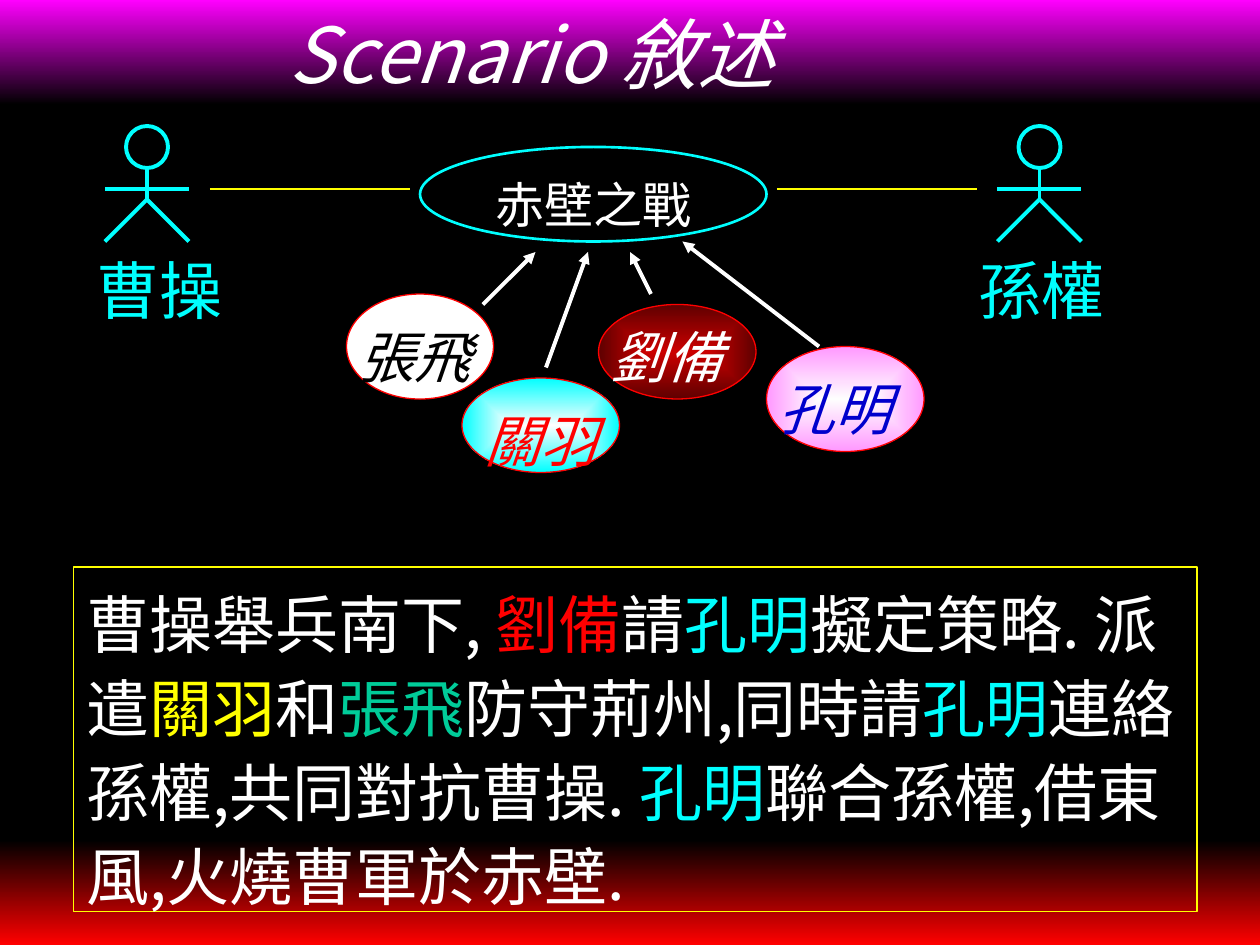
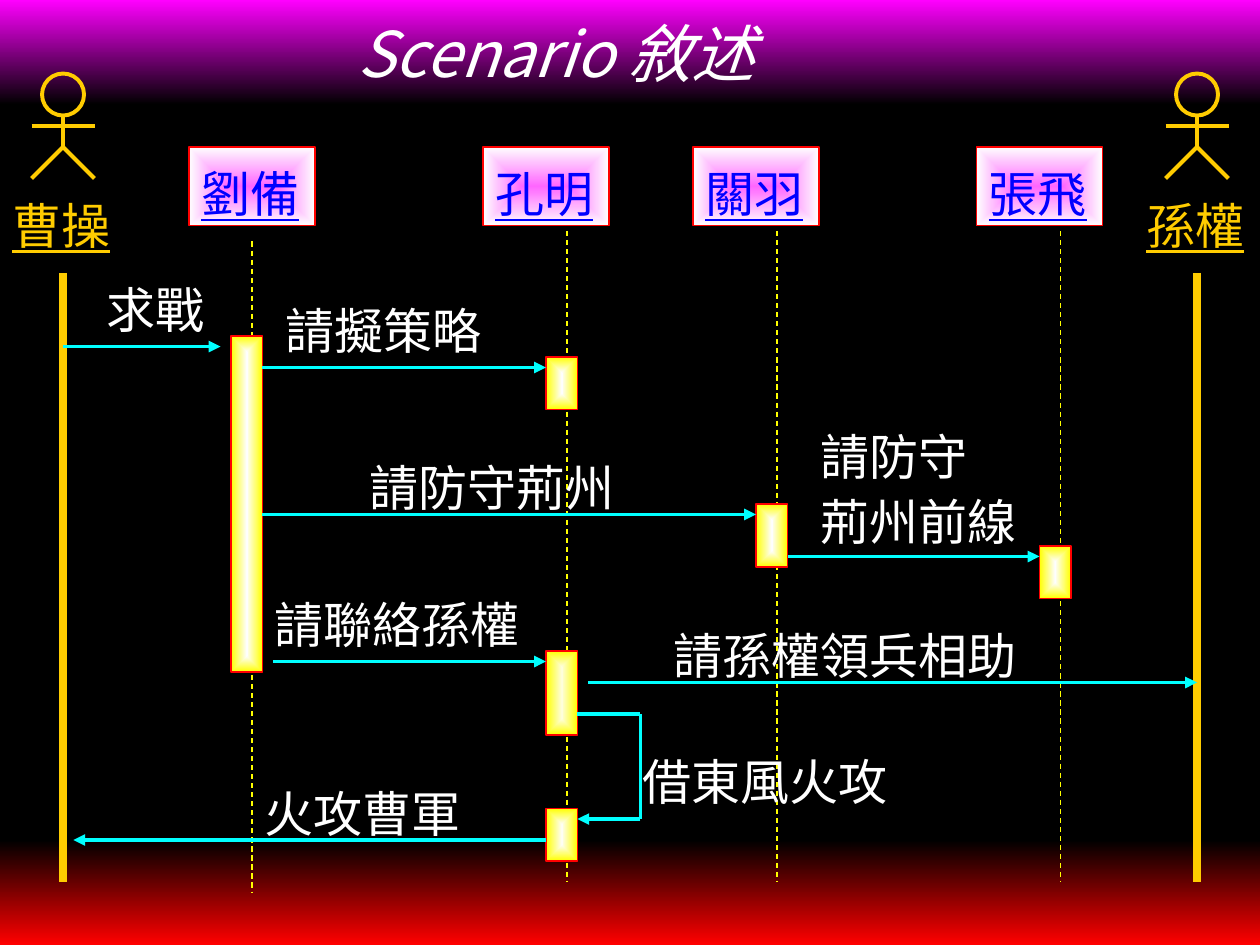
from dataclasses import dataclass
from typing import Any, NamedTuple, Optional

import lxml.etree
import pptx
import pptx.dml.color
import pptx.enum.dml
import pptx.enum.shapes
import pptx.enum.text
import pptx.oxml.ns
import pptx.slide
import pptx.util

Pt = pptx.util.Pt
qn = pptx.oxml.ns.qn
SHAPE = pptx.enum.shapes.MSO_SHAPE


@dataclass(frozen=True)
class Theme:
    black: str = "000000"
    white: str = "FFFFFF"
    glow: str = "FEFEFE"
    magenta: str = "FF00FF"
    red: str = "FF0000"
    cyan: str = "00FFFF"
    yellow: str = "FFFF00"
    gold: str = "FFCC00"
    green: str = "00CC99"
    blue: str = "0000FF"
    navy: str = "0000CC"
    crimson: str = "CC0000"
    maroon: str = "5E0000"
    pink: str = "FF66FF"
    pale_pink: str = "FF99FF"
    sans: str = "Noto Sans CJK SC"
    serif: str = "Times New Roman"
    story_size: int = 36
    hero_size: int = 32
    label_size: int = 28
    line_ratio: float = 1.33
    thin: float = 0.75
    medium: float = 1.5
    thick: float = 2.25
    heavy: float = 4.5


THEME = Theme()
WIDTH, HEIGHT, BAND = 720, 540, 60
INSETS = {"margin_left": Pt(7.2), "margin_right": Pt(7.2),
          "margin_top": Pt(6), "margin_bottom": Pt(0)}


class Box(NamedTuple):
    left: float
    top: float
    width: float
    height: float


class Span(NamedTuple):
    text: str
    color: str = THEME.white


@dataclass(frozen=True)
class TextStyle:
    color: str = THEME.white
    size: float = THEME.label_size
    font: str = THEME.serif
    italic: bool = False
    underline: bool = False
    line_height: Optional[float] = None


class Stroke(NamedTuple):
    color: str
    width: float
    dashed: bool = False
    arrow: bool = False


class Link(NamedTuple):
    x1: float
    y1: float
    x2: float
    y2: float


class Actor(NamedTuple):
    center: float
    top: float
    reach: float
    color: str


class Hero(NamedTuple):
    name: str
    oval: Box
    label_at: tuple[float, float]
    color: str
    inner: str
    outer: str
    arrow: Link


class Participant(NamedTuple):
    name: str
    left: float
    lifeline: Link


class Activation(NamedTuple):
    box: Box
    inner: str = THEME.glow


class Caption(NamedTuple):
    lines: tuple[str, ...]
    box: Box


def rgb(value: str) -> pptx.dml.color.RGBColor:
    return pptx.dml.color.RGBColor.from_string(value)


def apply(target: Any, values: dict[str, Any]) -> None:
    for key, value in values.items():
        setattr(target, key, value)


def fill_gradient(shape: Any, start: str, end: str, radial: bool = False) -> None:
    shape.fill.gradient()
    for stop, color in zip(shape.fill.gradient_stops, (start, end)):
        stop.color.rgb = rgb(color)
    if not radial:
        shape.fill.gradient_angle = 270
        return
    gradient = shape._element.spPr.find(qn("a:gradFill"))
    gradient.remove(gradient.find(qn("a:lin")))
    center = lxml.etree.SubElement(gradient, qn("a:path"), {"path": "rect"})
    lxml.etree.SubElement(center, qn("a:fillToRect"), dict.fromkeys("ltrb", "50000"))


def write(frame: Any, lines: list[list[Span]], style: TextStyle) -> None:
    apply(frame, {"word_wrap": True, "auto_size": pptx.enum.text.MSO_AUTO_SIZE.NONE,
                  "vertical_anchor": pptx.enum.text.MSO_ANCHOR.TOP, **INSETS})
    for number, spans in enumerate(lines):
        paragraph = frame.add_paragraph() if number else frame.paragraphs[0]
        apply(paragraph, {"alignment": pptx.enum.text.PP_ALIGN.LEFT, "space_before": Pt(0),
                          "line_spacing": Pt(style.line_height or style.size * THEME.line_ratio)})
        for span in spans:
            run = paragraph.add_run()
            run.text = span.text
            apply(run.font, {"size": Pt(style.size), "name": style.font,
                             "italic": style.italic, "underline": style.underline})
            run.font.color.rgb = rgb(span.color)
            lxml.etree.SubElement(run._r.rPr, qn("a:ea"), {"typeface": THEME.sans})


def add_label(slide: pptx.slide.Slide, lines: tuple[str, ...], box: Box, style: TextStyle) -> None:
    frame = slide.shapes.add_textbox(*map(Pt, box)).text_frame
    write(frame, [[Span(line, style.color)] for line in lines], style)


def add_outline(slide: pptx.slide.Slide, kind: Any, box: Box, stroke: Stroke) -> Any:
    shape = slide.shapes.add_shape(kind, *map(Pt, box))
    shape.shadow.inherit = False
    shape.fill.background()
    shape.line.color.rgb = rgb(stroke.color)
    shape.line.width = Pt(stroke.width)
    return shape


def add_link(slide: pptx.slide.Slide, link: Link, stroke: Stroke) -> None:
    connector = slide.shapes.add_connector(
        pptx.enum.shapes.MSO_CONNECTOR.STRAIGHT, *map(Pt, link))
    connector.line.color.rgb = rgb(stroke.color)
    connector.line.width = Pt(stroke.width)
    if stroke.dashed:
        connector.line.dash_style = pptx.enum.dml.MSO_LINE.DASH
    if stroke.arrow:
        lxml.etree.SubElement(connector.line._get_or_add_ln(), qn("a:tailEnd"), {"type": "triangle"})
    lxml.etree.SubElement(connector._element.spPr, qn("a:effectLst"))


def add_actor(slide: pptx.slide.Slide, actor: Actor) -> None:
    x, top, reach, color = actor
    stroke = Stroke(color, THEME.thick)
    add_outline(slide, SHAPE.OVAL, Box(x - 12, top, 24, 24), stroke)
    arms, hip = top + reach + 12, top + 42
    for limb in (Link(x - reach, arms, x + reach, arms), Link(x, top + 24, x, hip),
                 Link(x, hip, x - reach, hip + reach), Link(x, hip, x + reach, hip + reach)):
        add_link(slide, limb, stroke)


def add_scene(deck: Any, layout: int, title_size: float, title_left: float) -> pptx.slide.Slide:
    slide = deck.slides.add_slide(deck.slide_layouts[layout])
    title = slide.shapes.title
    apply(title, dict(zip(("left", "top", "width", "height"), map(Pt, (0, 0, WIDTH, BAND)))))
    fill_gradient(title, THEME.magenta, THEME.black)
    write(title.text_frame, [[Span("Scenario 敘述")]],
          TextStyle(size=title_size, font=THEME.sans, italic=True))
    title.text_frame.paragraphs[0].line_spacing = 1.0
    apply(title.text_frame, {"margin_left": Pt(title_left), "margin_top": Pt(0),
                             "vertical_anchor": pptx.enum.text.MSO_ANCHOR.MIDDLE})
    ground = slide.shapes.add_shape(SHAPE.RECTANGLE, *map(Pt, (0, HEIGHT - BAND, WIDTH, BAND)))
    ground.shadow.inherit = False
    ground.line.fill.background()
    fill_gradient(ground, THEME.black, THEME.red)
    slide.shapes._spTree.insert(2, ground._element)
    return slide


HEROES = [
    Hero("劉備", Box(342, 174, 90, 54), (342, 174), THEME.white, THEME.crimson, THEME.maroon,
         Link(372, 168, 360, 144)),
    Hero("關羽", Box(264, 216, 90, 54), (270, 222), THEME.red, THEME.glow, THEME.cyan,
         Link(312, 210, 336, 144)),
    Hero("孔明", Box(438, 198, 90, 60), (438, 204), THEME.navy, THEME.glow, THEME.pale_pink,
         Link(468, 198, 390, 138)),
    Hero("張飛", Box(198, 168, 84, 60), (198, 174), THEME.black, THEME.white, THEME.white,
         Link(276, 174, 306, 144)),
]
STORY = [
    Span("曹操舉兵南下, "), Span("劉備", THEME.red), Span("請"), Span("孔明", THEME.cyan),
    Span("擬定策略. 派遣"), Span("關羽", THEME.yellow), Span("和"), Span("張飛", THEME.green),
    Span("防守荊州,同時請"), Span("孔明", THEME.cyan), Span("連絡孫權,共同對抗曹操. "),
    Span("孔明", THEME.cyan), Span("聯合孫權,借東風,火燒曹軍於赤壁."),
]
PARTICIPANTS = [
    Participant("劉備", 108, Link(144, 138, 144, 510)),
    Participant("孔明", 276, Link(324, 132, 324, 504)),
    Participant("關羽", 396, Link(444, 132, 444, 504)),
    Participant("張飛", 558, Link(606, 132, 606, 504)),
]
ACTIVATIONS = [
    Activation(Box(132, 192, 18, 192)),
    Activation(Box(312, 204, 18, 30)),
    Activation(Box(432, 288, 18, 36)),
    Activation(Box(594, 312, 18, 30)),
    Activation(Box(312, 372, 18, 48), "FEFEDB"),
    Activation(Box(312, 462, 18, 30), "FEFEF4"),
]
MESSAGES = [
    Link(36, 198, 126, 198), Link(150, 210, 312, 210), Link(150, 294, 432, 294),
    Link(450, 318, 594, 318), Link(156, 378, 312, 378), Link(336, 390, 684, 390),
    Link(366, 468, 330, 468), Link(312, 480, 42, 480),
]
SELF_CALL = [Link(330, 408, 366, 408), Link(366, 408, 366, 468)]
CAPTIONS = [
    Caption(("求戰",), Box(54, 150, 72, 45)),
    Caption(("請擬策略",), Box(156, 162, 132, 45)),
    Caption(("請防守荊州",), Box(204, 252, 168, 45)),
    Caption(("請防守", "荊州前線"), Box(462, 234, 138, 81)),
    Caption(("請聯絡孫權",), Box(150, 330, 168, 45)),
    Caption(("請孫權領兵相助",), Box(378, 348, 228, 45)),
    Caption(("借東風火攻",), Box(360, 420, 168, 45)),
    Caption(("火攻曹軍",), Box(144, 438, 144, 45)),
]


def build_use_case(deck: Any) -> None:
    slide = add_scene(deck, 1, 44, 165)
    name_style = TextStyle(THEME.cyan, THEME.story_size, line_height=37)
    for name, center, left in (("曹操", 84, 48), ("孫權", 594, 552)):
        add_actor(slide, Actor(center, 72, 24, THEME.cyan))
        add_label(slide, (name,), Box(left, 144, 96, 44), name_style)
    add_label(slide, ("赤壁之戰",), Box(276, 90, 156, 45), TextStyle())
    add_outline(slide, SHAPE.OVAL, Box(240, 84, 198, 54), Stroke(THEME.cyan, THEME.medium))
    for left in (120, 444):
        add_link(slide, Link(left, 108, left + 114, 108), Stroke(THEME.yellow, THEME.medium))
    for hero in HEROES:
        oval = add_outline(slide, SHAPE.OVAL, hero.oval, Stroke(THEME.red, THEME.thin))
        if hero.inner == hero.outer:
            oval.fill.solid()
            oval.fill.fore_color.rgb = rgb(hero.inner)
        else:
            fill_gradient(oval, hero.inner, hero.outer, radial=True)
        add_label(slide, (hero.name,), Box(*hero.label_at, 84, 50),
                  TextStyle(hero.color, THEME.hero_size, italic=True))
        add_link(slide, hero.arrow, Stroke(THEME.white, THEME.thick, arrow=True))
    story = slide.placeholders[1]
    apply(story, dict(zip(("left", "top", "width", "height"), map(Pt, (42, 324, 642, 197)))))
    story.line.color.rgb = rgb(THEME.yellow)
    story.line.width = Pt(THEME.thin)
    properties = story.text_frame.paragraphs[0]._p.get_or_add_pPr()
    apply_indent = {"marL": "0", "indent": "0"}
    for key, value in apply_indent.items():
        properties.set(key, value)
    lxml.etree.SubElement(properties, qn("a:buNone"))
    write(story.text_frame, [STORY], TextStyle(size=THEME.story_size, font=THEME.sans))


def build_sequence(deck: Any) -> None:
    slide = add_scene(deck, 5, 36, 204)
    for name, center in (("曹操", 36), ("孫權", 684)):
        add_actor(slide, Actor(center, 42, 18, THEME.gold))
        add_link(slide, Link(center, 156, center, 504), Stroke(THEME.gold, THEME.heavy))
        add_label(slide, (name,), Box(center - 36, 102, 72, 45),
                  TextStyle(THEME.gold, underline=True))
    for person in PARTICIPANTS:
        plate = add_outline(slide, SHAPE.RECTANGLE, Box(person.left, 84, 72, 45),
                            Stroke(THEME.red, THEME.thin))
        fill_gradient(plate, THEME.pink, THEME.glow, radial=True)
        write(plate.text_frame, [[Span(person.name, THEME.blue)]], TextStyle(underline=True))
        add_link(slide, person.lifeline, Stroke(THEME.yellow, THEME.thin, dashed=True))
    for activation in ACTIVATIONS:
        bar = add_outline(slide, SHAPE.RECTANGLE, activation.box, Stroke(THEME.red, THEME.thin))
        fill_gradient(bar, activation.inner, THEME.yellow, radial=True)
    for links, arrow in ((SELF_CALL, False), (MESSAGES, True)):
        for link in links:
            add_link(slide, link, Stroke(THEME.cyan, THEME.thick, arrow=arrow))
    for caption in CAPTIONS:
        add_label(slide, caption.lines, caption.box, TextStyle())


def main() -> None:
    deck = pptx.Presentation()
    apply(deck, {"slide_width": Pt(WIDTH), "slide_height": Pt(HEIGHT)})
    backdrop = deck.slide_master.background.fill
    backdrop.solid()
    backdrop.fore_color.rgb = rgb(THEME.black)
    build_use_case(deck)
    build_sequence(deck)
    deck.save("out.pptx")


if __name__ == "__main__":
    main()
